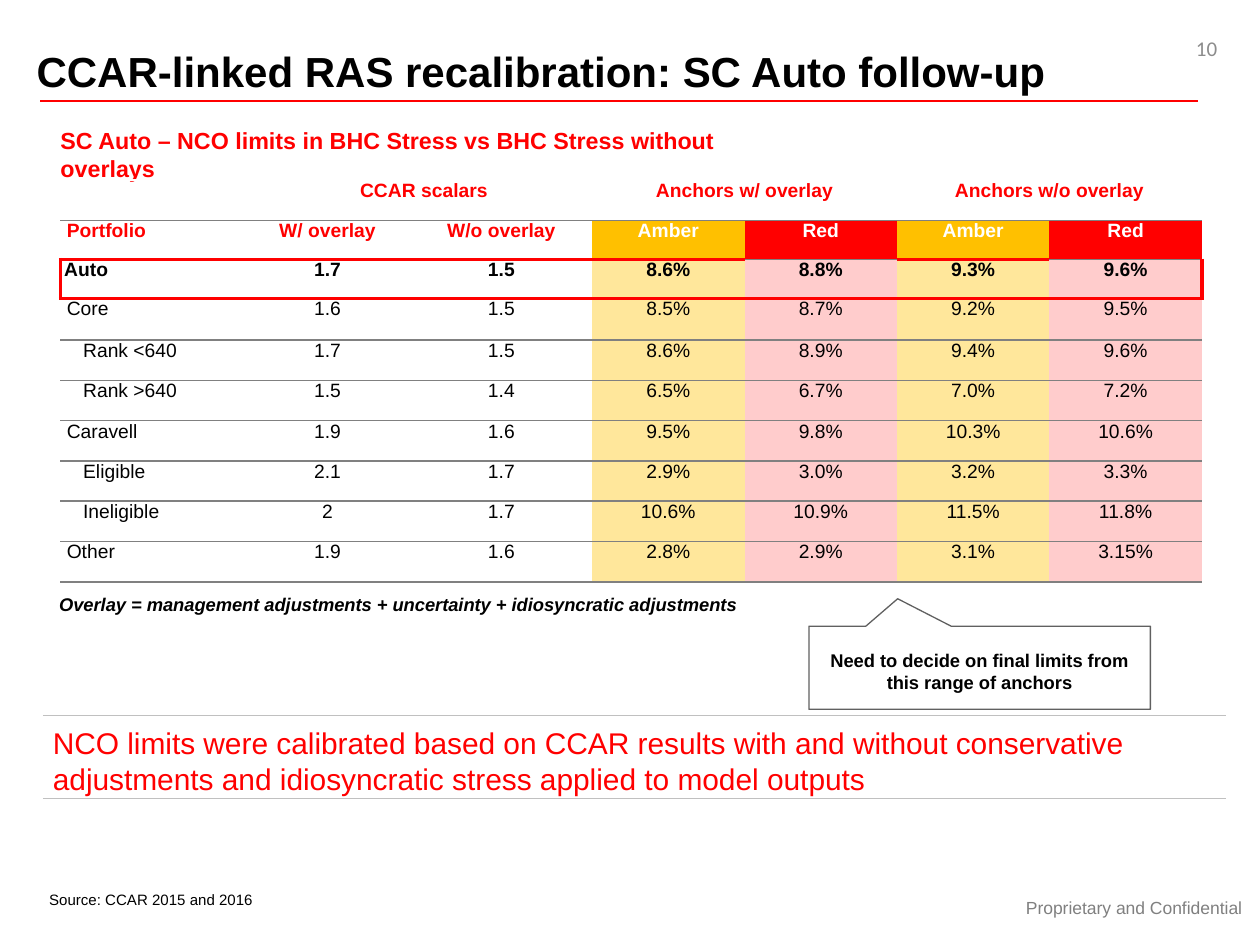
from pptx import Presentation
from pptx.dml.color import RGBColor
from pptx.enum.shapes import MSO_CONNECTOR, MSO_SHAPE
from pptx.enum.text import MSO_ANCHOR, PP_ALIGN
from pptx.oxml.ns import qn
from pptx.util import Inches, Pt
from lxml import etree

LEFT, MID, RIGHT = PP_ALIGN.LEFT, PP_ALIGN.CENTER, PP_ALIGN.RIGHT
TOP, CENTRE = MSO_ANCHOR.TOP, MSO_ANCHOR.MIDDLE
STRAIGHT = MSO_CONNECTOR.STRAIGHT
CALLOUT = MSO_SHAPE.RECTANGULAR_CALLOUT

BLACK = RGBColor(0x00, 0x00, 0x00)
WHITE = RGBColor(0xFF, 0xFF, 0xFF)
RED = RGBColor(0xFF, 0x00, 0x00)
AMBER = RGBColor(0xFF, 0xC0, 0x00)
PALE_RED = RGBColor(0xFF, 0xCC, 0xCC)
PALE_AMBER = RGBColor(0xFF, 0xE7, 0x9B)
GREY = RGBColor(0x80, 0x80, 0x80)
SILVER = RGBColor(0xC0, 0xC0, 0xC0)
DARK = RGBColor(0x60, 0x60, 0x60)
PAGE_GREY = RGBColor(0x8C, 0x8C, 0x8C)

WIDTHS = [1.34, 1.44, 1.44] + [1.21] * 4
HEIGHTS = [0.32, 0.31, 0.31, 0.33] + [0.32] * 6
GROUPS = {1: "CCAR scalars", 3: "Anchors w/ overlay", 5: "Anchors w/o overlay"}
HEADS = ["Portfolio", "W/ overlay", "W/o overlay", "Amber", "Red", "Amber", "Red"]
DATA = [
    ["Auto", "1.7", "1.5", "8.6%", "8.8%", "9.3%", "9.6%"],
    ["Core", "1.6", "1.5", "8.5%", "8.7%", "9.2%", "9.5%"],
    ["Rank <640", "1.7", "1.5", "8.6%", "8.9%", "9.4%", "9.6%"],
    ["Rank >640", "1.5", "1.4", "6.5%", "6.7%", "7.0%", "7.2%"],
    ["Caravell", "1.9", "1.6", "9.5%", "9.8%", "10.3%", "10.6%"],
    ["Eligible", "2.1", "1.7", "2.9%", "3.0%", "3.2%", "3.3%"],
    ["Ineligible", "2", "1.7", "10.6%", "10.9%", "11.5%", "11.8%"],
    ["Other", "1.9", "1.6", "2.8%", "2.9%", "3.1%", "3.15%"],
]
AUTO = 2  # table row in the red frame
NESTED = (4, 5, 7, 8)


def write(frame, text, size, color=BLACK, bold=False, italic=False,
          align=LEFT, name="Arial"):
    para = frame.paragraphs[0]
    para.text = text
    para.alignment = align
    font = para.font
    font.name, font.size = name, Pt(size)
    font.bold, font.italic = bold, italic
    font.color.rgb = color
    return para


def set_frame(frame, anchor=TOP):
    frame.margin_left = frame.margin_right = 0
    frame.margin_top = frame.margin_bottom = 0
    frame.word_wrap = True
    frame.vertical_anchor = anchor


def add_text(slide, box, text, size, anchor=TOP, **style):
    frame = slide.shapes.add_textbox(*map(Inches, box)).text_frame
    set_frame(frame, anchor)
    write(frame, text, size, **style)


def add_title(slide, text):
    title = slide.shapes.title
    title.left, title.top = Inches(0.29), Inches(0.41)
    title.width, title.height = Inches(9.44), Inches(0.36)
    set_frame(title.text_frame)
    write(title.text_frame, text, 24, bold=True).line_spacing = 0.9


def add_rule(slide, left, right, y, color, width):
    rule = slide.shapes.add_connector(
        STRAIGHT, Inches(left), Inches(y), Inches(right), Inches(y))
    rule.line.color.rgb = color
    rule.line.width = Pt(width)
    etree.SubElement(rule._element.spPr, qn("a:effectLst"))


def add_callout(slide, box, text):
    shape = slide.shapes.add_shape(CALLOUT, *map(Inches, box))
    shape.shadow.inherit = False
    shape.adjustments[0], shape.adjustments[1] = -0.24, -0.83
    shape.fill.background()
    shape.line.color.rgb = DARK
    shape.line.width = Pt(0.75)
    frame = shape.text_frame
    set_frame(frame, CENTRE)
    frame.margin_left = frame.margin_right = Inches(0.12)
    frame.margin_top = Inches(0.06)
    write(frame, text, 10.5, bold=True, align=MID)


def set_edges(cell, edges):
    """Draw the given sides of a cell and clear the others."""
    props = cell._tc.get_or_add_tcPr()
    for side in "LRTB":
        color, width = edges.get(side, (None, 0))
        line = etree.SubElement(props, qn("a:ln" + side), w=str(Pt(width)))
        if color is None:
            etree.SubElement(line, qn("a:noFill"))
        else:
            fill = etree.SubElement(line, qn("a:solidFill"))
            etree.SubElement(fill, qn("a:srgbClr"), val=str(color))


def find_edges(row, col):
    thin, thick = (GREY, 1), (RED, 2.25)
    edges = {"T": thin, "B": thin}
    if row == 0:
        edges["T"] = (WHITE, 1)
    # The frame is open on top below the red heads
    if col not in (4, 6):
        if row == AUTO - 1:
            edges["B"] = thick
        if row == AUTO:
            edges["T"] = thick
    if row == AUTO:
        edges["B"] = thick
        if col == 0:
            edges["L"] = thick
        if col == 6:
            edges["R"] = thick
    if row == AUTO + 1:
        edges["T"] = thick
    return edges


def find_fill(row, col):
    if row == 0 or col < 3:
        return None
    strong, pale = (AMBER, PALE_AMBER) if col % 2 else (RED, PALE_RED)
    return strong if row == 1 else pale


def find_indent(row, col):
    if col == 0:
        return 0.18 if row in NESTED else 0.03 if row == AUTO else 0.05
    if col == 1:
        return 0.21 if row == 0 else 0.12
    return 0


def add_grid(slide):
    rows = [[GROUPS.get(col, "") for col in range(len(WIDTHS))], HEADS] + DATA
    grid = slide.shapes.add_table(
        len(rows), len(WIDTHS), Inches(0.48), Inches(1.43),
        Inches(sum(WIDTHS)), Inches(sum(HEIGHTS))).table
    grid.first_row = grid.horz_banding = False
    for col, width in enumerate(WIDTHS):
        grid.columns[col].width = Inches(width)
    for col in GROUPS:
        grid.cell(0, col).merge(grid.cell(0, col + 1))
    for row, texts in enumerate(rows):
        grid.rows[row].height = Inches(HEIGHTS[row])
        for col, text in enumerate(texts):
            cell = grid.cell(row, col)
            cell.margin_right = cell.margin_top = cell.margin_bottom = 0
            cell.margin_left = Inches(find_indent(row, col))
            set_edges(cell, find_edges(row, col))
            fill = find_fill(row, col)
            if fill is None:
                cell.fill.background()
            else:
                cell.fill.solid()
                cell.fill.fore_color.rgb = fill
            color = BLACK if row > 1 else WHITE if fill else RED
            write(cell.text_frame, text, 11, color, bold=row <= AUTO,
                  align=MID if col else LEFT)


def main():
    deck = Presentation()
    deck.slide_width, deck.slide_height = Inches(10), Inches(7.5)
    slide = deck.slides.add_slide(deck.slide_layouts[5])

    # Heading
    add_rule(slide, 0.32, 9.51, 0.8, RED, 1)
    add_title(slide, "CCAR-linked RAS recalibration: SC Auto follow-up")
    add_text(slide, (0.48, 1, 5.9, 0.44),
             "SC Auto – NCO limits in BHC Stress vs BHC Stress without overlays",
             13.3, color=RED, bold=True)

    # Limits table with its note and callout
    add_grid(slide)
    add_text(slide, (0.47, 4.71, 5.8, 0.2),
             "Overlay = management adjustments + uncertainty + "
             "idiosyncratic adjustments", 10.5, bold=True, italic=True)
    add_callout(slide, (6.42, 4.97, 2.71, 0.66),
                "Need to decide on final limits from this range of anchors")

    # Key message between two rules
    for y in (5.68, 6.34):
        add_rule(slide, 0.34, 9.73, y, SILVER, 0.75)
    add_text(slide, (0.42, 5.75, 8.57, 0.58),
             "NCO limits were calibrated based on CCAR results with and without "
             "conservative adjustments and idiosyncratic stress applied to "
             "model outputs", 17.1, color=RED)

    # Source, footer and page number
    add_text(slide, (0.39, 7.07, 1.8, 0.14), "Source: CCAR 2015 and 2016", 8.6)
    add_text(slide, (8.05, 7, 1.9, 0.4), "Proprietary and Confidential", 10,
             CENTRE, color=GREY, align=MID)
    add_text(slide, (7.51, 0.18, 2.15, 0.4), "10", 12, CENTRE,
             color=PAGE_GREY, align=RIGHT, name="Calibri")
    deck.save("out.pptx")


if __name__ == "__main__":
    main()
